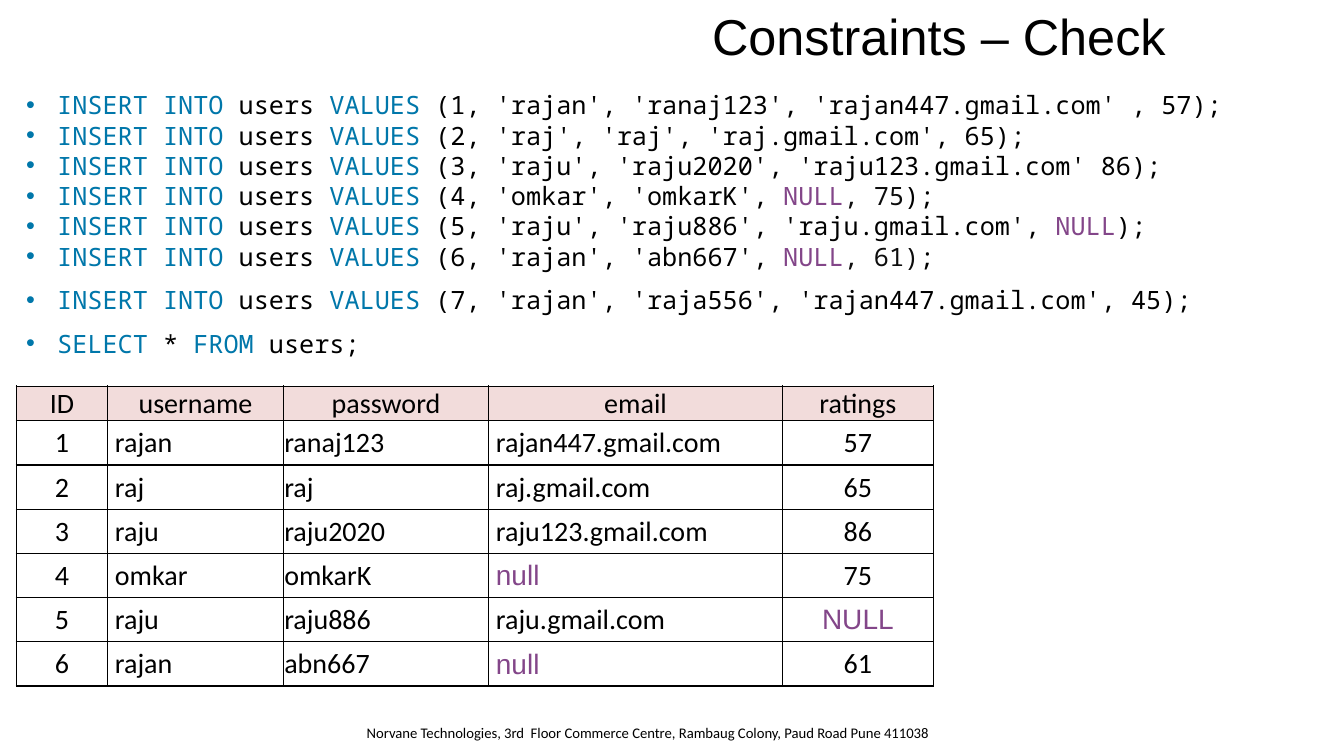
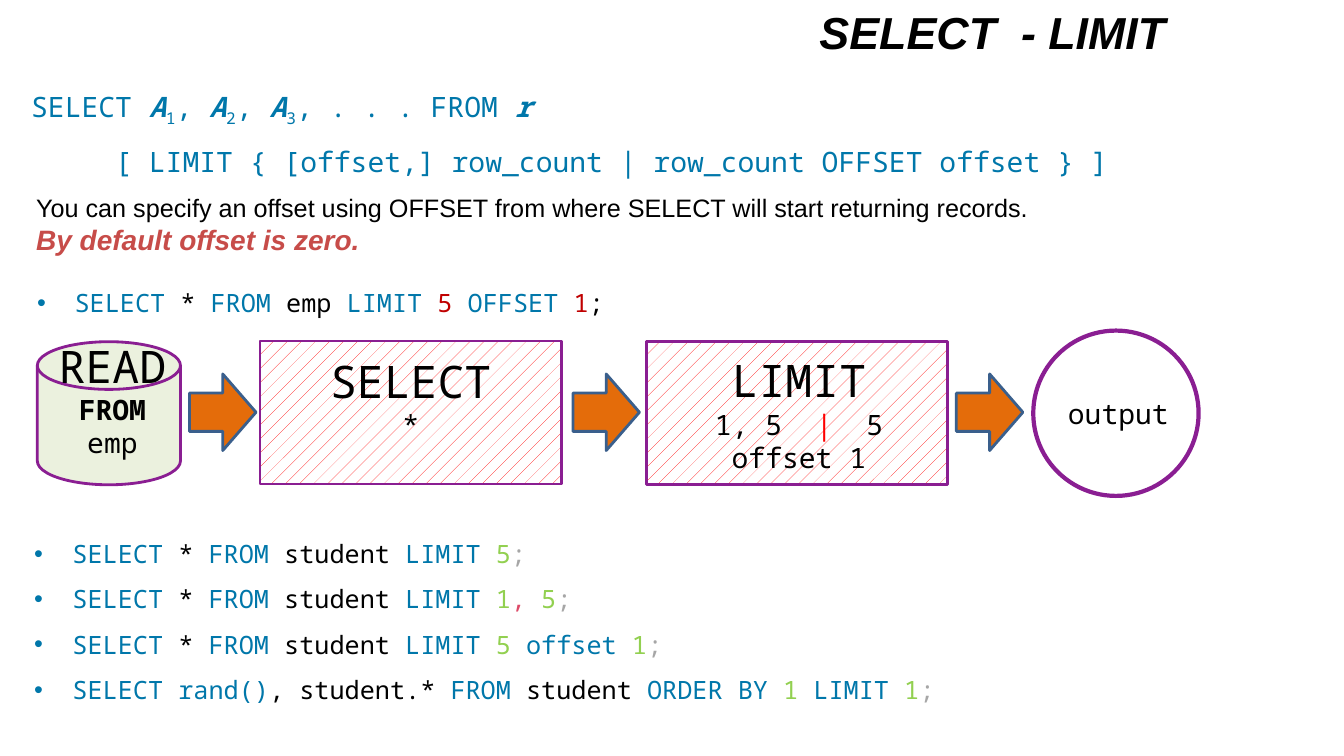
from lxml.etree import SubElement
from pptx import Presentation
from pptx.dml.color import RGBColor
from pptx.enum.dml import MSO_PATTERN
from pptx.enum.shapes import MSO_SHAPE
from pptx.enum.text import MSO_ANCHOR, MSO_AUTO_SIZE, PP_ALIGN
from pptx.oxml.ns import qn
from pptx.util import Inches, Pt

COLOURS = {key: RGBColor.from_string(value) for key, value in {
    "ink": "000000", "soft": "0D0D0D", "paper": "FFFFFF", "keyword": "0077AA",
    "null": "834689", "number": "92D050", "limit": "C00000", "comma": "DD4A68",
    "end": "A6A6A6", "warning": "C74C49", "header": "F2DCDB", "hatch": "FF0000",
    "outline": "8A1E92", "arrow": "E46C0A", "arrow_edge": "3A5F8C", "disk": "EBF1DE",
}.items()}
SANS, BODY, MONO = "Arial", "Calibri", "Noto Sans Mono"

deck = Presentation()
deck.slide_width, deck.slide_height = Inches(13.33), Inches(7.5)
COL, ROW = deck.slide_width / 100, deck.slide_height / 100


def area(left, top, width, height):
    return int(left * COL), int(top * ROW), int(width * COL), int(height * ROW)


def write(frame, lines, size, font=MONO, hang=0, spacing=None, align=PP_ALIGN.LEFT):
    frame.word_wrap = True
    for index, line in enumerate(lines):
        paragraph = frame.add_paragraph() if index else frame.paragraphs[0]
        paragraph.alignment = align
        if spacing:
            paragraph.line_spacing = spacing
        if hang:
            properties = paragraph._p.get_or_add_pPr()
            properties.set("marL", str(Inches(hang)))
            properties.set("indent", str(-Inches(hang)))
            SubElement(properties, qn("a:buFont")).set("typeface", SANS)
            SubElement(properties, qn("a:buChar")).set("char", "•")
        for text, colour, style, run_size in (part + ("", size)[len(part) - 2:] for part in line):
            marks = style.split()
            run = paragraph.add_run()
            run.text = text
            run.font.name, run.font.size = font, Pt(run_size)
            run.font.color.rgb = COLOURS[colour]
            run.font.bold, run.font.italic = "b" in marks, "i" in marks
            if "sub" in marks:
                run._r.get_or_add_rPr().set("baseline", "-25000")


slides = []
for heading, height, size, style in [
    ("Constraints – Check", 9.3, 36, ""),
    ("SELECT  - LIMIT", 8.3, 32, "b i"),
]:
    slide = deck.slides.add_slide(deck.slide_layouts[5])
    title = slide.shapes.title
    title.left, title.top, title.width, title.height = area(12.5, 0, 75, height)
    title.fill.solid()
    title.fill.fore_color.rgb = COLOURS["paper"]
    title.text_frame.auto_size = MSO_AUTO_SIZE.NONE
    title.text_frame.vertical_anchor = MSO_ANCHOR.MIDDLE
    write(title.text_frame, [[(heading, "ink", style)]], size, SANS, align=PP_ALIGN.RIGHT)
    slides.append(slide)
check, limit = slides

insert = [("INSERT INTO", "keyword"), (" users ", "ink"), ("VALUES", "keyword")]
inserted = [
    [(" (1, 'rajan', 'ranaj123', 'rajan447.gmail.com' , 57);", "ink")],
    [(" (2, 'raj', 'raj', 'raj.gmail.com', 65);", "ink")],
    [(" (3, 'raju', 'raju2020', 'raju123.gmail.com' 86);", "ink")],
    [(" (4, 'omkar', 'omkarK', ", "ink"), ("NULL", "null"), (", 75", "soft"), (");", "ink")],
    [(" (5, 'raju', 'raju886', 'raju.gmail.com', ", "ink"), ("NULL", "null"), (");", "ink")],
    [(" (6, 'rajan', 'abn667', ", "ink"), ("NULL", "null"), (", 61)", "soft"), (";", "ink")],
    [(" (7, 'rajan', 'raja556', 'rajan447.gmail.com', 45);", "ink")],
]
select_users = [("SELECT", "keyword"), (" * ", "ink"), ("FROM", "keyword"), (" users;", "ink")]
statements = check.shapes.add_textbox(*area(1.2, 11.2, 97.2, 37.2)).text_frame
write(statements, [insert + values for values in inserted] + [select_users], 18, hang=0.31)
for paragraph in statements.paragraphs[-2:]:
    paragraph.space_before = Pt(9.5)

users = [
    ("ID", "username", "password", "email", "ratings"),
    ("1", "rajan", "ranaj123", "rajan447.gmail.com", "57"),
    ("2", "raj", "raj", "raj.gmail.com", "65"),
    ("3", "raju", "raju2020", "raju123.gmail.com", "86"),
    ("4", "omkar", "omkarK", "null", "75"),
    ("5", "raju", "raju886", "raju.gmail.com", "NULL"),
    ("6", "rajan", "abn667", "null", "61"),
]
table = check.shapes.add_table(len(users), 5, *area(1.2, 51.07, 68.26, 39.63)).table
table.first_row = table.horz_banding = False
for column, share in zip(table.columns, (6.83, 13.05, 15.3, 21.83, 11.25)):
    column.width = int(share * COL)
for r, record in enumerate(users):
    table.rows[r].height = int((5.85 if r else 4.53) * ROW)
    for c, value in enumerate(record):
        cell = table.cell(r, c)
        centred = r == 0 or c in (0, 4)
        cell.vertical_anchor = MSO_ANCHOR.MIDDLE
        cell.margin_left = Inches(0.07 if c in (1, 3) and not centred else 0.01)
        cell.margin_right = cell.margin_top = Inches(0.01)
        cell.margin_bottom = 0
        is_null = value.lower() == "null"
        write(cell.text_frame, [[(value, "null" if is_null else "ink")]], 20,
              SANS if is_null else BODY, align=PP_ALIGN.CENTER if centred else PP_ALIGN.LEFT)
        properties = cell._tc.get_or_add_tcPr()
        for side in ("a:lnL", "a:lnR", "a:lnT", "a:lnB"):
            border = SubElement(properties, qn(side), w=str(Pt(1)))
            ink = SubElement(SubElement(border, qn("a:solidFill")), qn("a:srgbClr"))
            ink.set("val", str(COLOURS["ink"]))
        if r == 0:
            cell.fill.solid()
            cell.fill.fore_color.rgb = COLOURS["header"]
        else:
            cell.fill.background()

address = check.shapes.add_textbox(*area(26.55, 95.07, 44.33, 4.9)).text_frame
write(address, [[("Norvane Technologies, 3rd  Floor Commerce Centre, Rambaug Colony, "
                  "Paud Road Pune 411038", "ink")]], 10.5, BODY)

syntax_line = [("SELECT ", "keyword")]
for number, after in (("1", ", "), ("2", ", "), ("3", ", . . . FROM ")):
    syntax_line += [("A", "keyword", "b i"), (number, "keyword", "sub"), (after, "keyword")]
syntax_line.append(("r", "keyword", "b i"))
limit_line = [("     [ LIMIT { [offset,] row_count | row_count OFFSET offset } ]", "keyword")]
syntax = limit.shapes.add_textbox(*area(1.58, 8.6, 93.9, 14.13)).text_frame
write(syntax, [syntax_line, limit_line], 20, spacing=1.5)

offset_note = limit.shapes.add_textbox(*area(1.95, 24.8, 77.93, 9.87)).text_frame
write(offset_note, [[
    ("You can specify an offset using OFFSET from where SELECT will start returning records. ", "ink"),
    ("By default offset is zero.", "warning", "b i", 20),
]], 18, SANS)

select_all = [("SELECT ", "keyword"), ("* ", "ink"), ("FROM ", "keyword")]
emp_query = select_all + [("emp ", "ink"), ("LIMIT ", "keyword"), ("5 ", "limit"),
                          ("OFFSET ", "keyword"), ("1", "limit"), (";", "ink")]
example = limit.shapes.add_textbox(*area(2.03, 35.33, 93.15, 6.8)).text_frame
write(example, [emp_query], 18, hang=0.37, spacing=1.5)

select_text = [[("SELECT", "ink", "", 32)], [("*", "ink")]]
limit_text = [[("LIMIT", "ink", "", 32)],
              [("1, 5  ", "ink"), ("|", "hatch"), ("  5 offset 1", "ink")]]
output_text = [[("output", "ink")]]
steps = [
    (MSO_SHAPE.FLOWCHART_MAGNETIC_DISK, (2.78, 45.2, 10.65, 18.93), "disk", "outline", 2, []),
    (MSO_SHAPE.RECTANGLE, (19.35, 45.1, 22.43, 18.93), "hatch", "outline", 2, select_text),
    (MSO_SHAPE.RECTANGLE, (48.08, 45.2, 22.43, 18.93), "hatch", "outline", 2, limit_text),
    (MSO_SHAPE.OVAL, (76.88, 43.73, 12.3, 21.87), None, "outline", 3, output_text),
] + [(MSO_SHAPE.RIGHT_ARROW, (14.1 + 28.53 * gap, 49.47, 4.95, 10.13), "arrow", "arrow_edge", 2, [])
     for gap in range(3)]
for kind, place, fill, outline, weight, words in steps:
    step = limit.shapes.add_shape(kind, *area(*place))
    step.shadow.inherit = False
    step.line.color.rgb, step.line.width = COLOURS[outline], Pt(weight)
    if fill == "hatch":
        step.fill.patterned()
        step.fill.pattern = MSO_PATTERN.PERCENT_5
        step.fill.fore_color.rgb = COLOURS["hatch"]
        step.fill.back_color.rgb = COLOURS["paper"]
        step.text_frame.vertical_anchor = MSO_ANCHOR.TOP
        step.text_frame.margin_top = Inches(0.13)
        step.text_frame.margin_bottom = 0
    elif fill:
        step.fill.solid()
        step.fill.fore_color.rgb = COLOURS[fill]
    else:
        step.fill.background()
    if words:
        write(step.text_frame, words, 20, align=PP_ALIGN.CENTER)
    if words is limit_text:
        step.text_frame.margin_top = Inches(0.17)
        step.text_frame.margin_left = Inches(0.14)
        step.text_frame.paragraphs[0].line_spacing = 0.9
    if words is output_text:
        step.text_frame.margin_left = Inches(0.05)
        step.text_frame.margin_right = 0

read_label = limit.shapes.add_textbox(*area(2.93, 44.13, 10.88, 18.67)).text_frame
write(read_label, [[("READ", "ink", "", 32)], [("FROM", "ink", "b")], [("emp", "ink")]],
      20, align=PP_ALIGN.CENTER)

from_student = select_all + [("student ", "ink"), ("LIMIT ", "keyword")]
end = [(";", "end")]
queries = [
    from_student + [("5", "number")] + end,
    from_student + [("1", "number"), (", ", "comma"), ("5", "number")] + end,
    from_student + [("5 ", "number"), ("offset ", "keyword"), ("1", "number")] + end,
    [("SELECT rand()", "keyword"), (", student.* ", "ink"), ("FROM ", "keyword"),
     ("student ", "ink"), ("ORDER BY ", "keyword"), ("1 ", "number"),
     ("LIMIT ", "keyword"), ("1", "number")] + end,
]
practice = limit.shapes.add_textbox(*area(1.8, 68.53, 93.15, 25.6)).text_frame
write(practice, queries, 18, hang=0.38, spacing=1.5)

deck.save("out.pptx")
